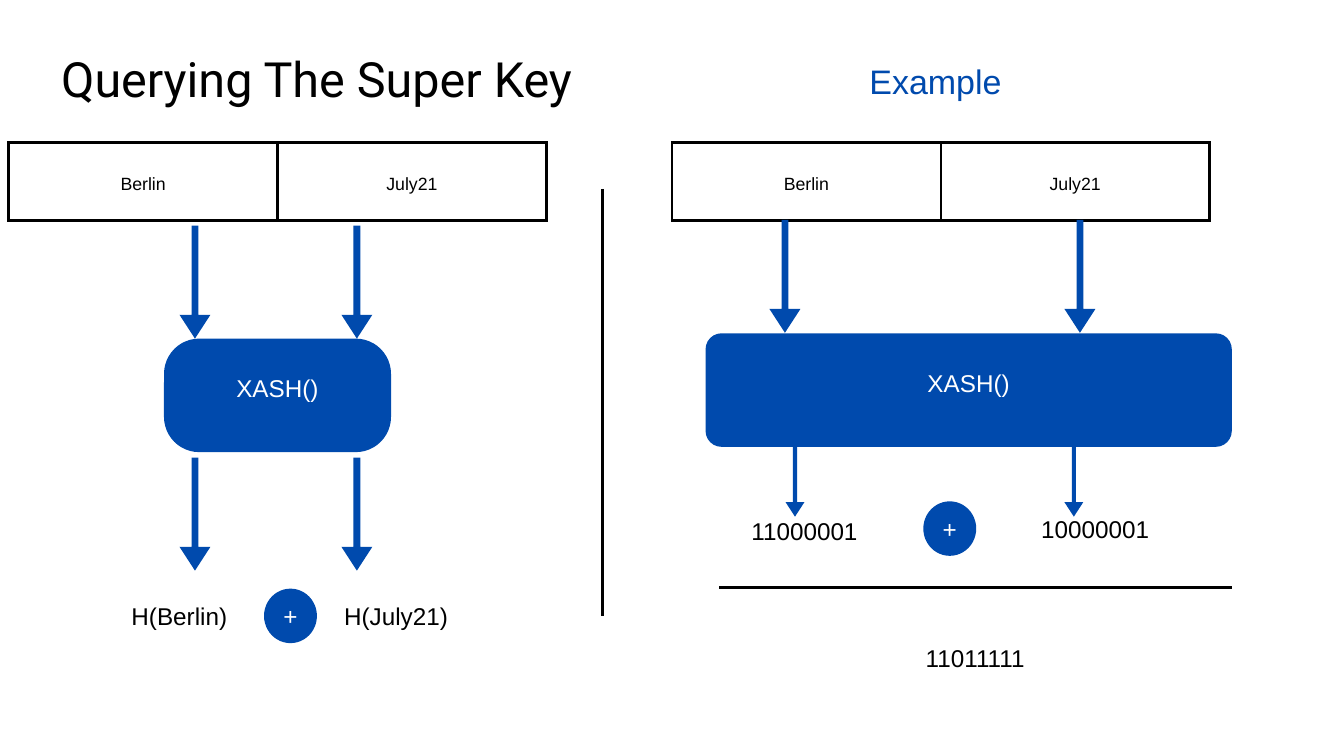
from pptx import Presentation
from pptx.dml.color import RGBColor
from pptx.enum.shapes import MSO_CONNECTOR, MSO_SHAPE
from pptx.enum.text import MSO_ANCHOR, MSO_AUTO_SIZE, PP_ALIGN
from pptx.oxml.xmlchemy import OxmlElement
from pptx.util import Cm, Pt

LINE = MSO_CONNECTOR.STRAIGHT
ARROW, ROUNDED, OVAL = MSO_SHAPE.DOWN_ARROW, MSO_SHAPE.ROUNDED_RECTANGLE, MSO_SHAPE.OVAL
TOP, MIDDLE = MSO_ANCHOR.TOP, MSO_ANCHOR.MIDDLE
CENTER = PP_ALIGN.CENTER
NO_FIT = MSO_AUTO_SIZE.NONE

BLUE, BLACK, WHITE = "004AAD", "000000", "FFFFFF"
VALUES = ["Berlin", "July21"]


def colour(value):
    return RGBColor.from_string(value)


def write(frame, text, size, value, font="Arial", spacing=1.4):
    """Put one centred run into the frame, with exact line spacing."""
    para = frame.paragraphs[0]
    para.alignment = CENTER
    para.line_spacing = Pt(round(size * spacing, 1))
    span = para.add_run()
    span.text = text
    span.font.name = font
    span.font.size = Pt(size)
    span.font.color.rgb = colour(value)


def set_frame(frame, anchor, side=0, top=0, bottom=0):
    frame.word_wrap = True
    frame.auto_size = NO_FIT
    frame.vertical_anchor = anchor
    frame.margin_left = frame.margin_right = Cm(side)
    frame.margin_top, frame.margin_bottom = Cm(top), Cm(bottom)


def add_title(page, text):
    title = page.shapes.title
    title.left, title.top, title.width, title.height = Cm(1.24), Cm(1.5), Cm(21.46), Cm(2.46)
    set_frame(title.text_frame, TOP)
    write(title.text_frame, text, 52, BLACK, "Roboto")


def add_label(page, text, left, top, width, height=1.27, size=26, value=BLACK):
    box = page.shapes.add_textbox(Cm(left), Cm(top), Cm(width), Cm(height))
    set_frame(box.text_frame, TOP)
    write(box.text_frame, text, size, value)


def add_blue_shape(page, kind, left, top, width, height):
    shape = page.shapes.add_shape(kind, Cm(left), Cm(top), Cm(width), Cm(height))
    shape.shadow.inherit = False
    shape.fill.solid()
    shape.fill.fore_color.rgb = colour(BLUE)
    shape.line.fill.background()
    return shape


def add_arrow(page, centre, top, width=1.17, height=4.27):
    arrow = add_blue_shape(page, ARROW, centre - width / 2, top, width, height)
    arrow.adjustments[0] = 0.22
    arrow.adjustments[1] = 0.77


def add_hash_box(page, left, top, width, rounding):
    box = add_blue_shape(page, ROUNDED, left, top, width, 4.29)
    box.adjustments[0] = rounding
    set_frame(box.text_frame, MIDDLE, side=0.15, top=0.15, bottom=0.87)
    write(box.text_frame, "XASH()", 26, WHITE)


def add_plus(page, left, top):
    circle = add_blue_shape(page, OVAL, left, top, 2, 2.06)
    set_frame(circle.text_frame, MIDDLE, bottom=0.18)
    write(circle.text_frame, "+", 26, WHITE)


def add_line(page, x1, y1, x2, y2):
    line = page.shapes.add_connector(LINE, Cm(x1), Cm(y1), Cm(x2), Cm(y2))
    line.line.color.rgb = colour(BLACK)
    line.line.width = Pt(3)
    line._element.spPr.append(OxmlElement("a:effectLst"))


def add_borders(cell):
    properties = cell._tc.get_or_add_tcPr()
    for position, side in enumerate(["a:lnL", "a:lnR", "a:lnT", "a:lnB"]):
        border = OxmlElement(side)
        border.set("w", str(Pt(3)))
        fill = OxmlElement("a:solidFill")
        ink = OxmlElement("a:srgbClr")
        ink.set("val", BLACK)
        fill.append(ink)
        border.append(fill)
        properties.insert(position, border)


def add_value_table(page, left):
    table = page.shapes.add_table(
        1, len(VALUES), Cm(left), Cm(5.38), Cm(20.32), Cm(2.95)).table
    table.first_row = table.horz_banding = False
    for cell, text in zip(table.iter_cells(), VALUES):
        cell.fill.background()
        cell.vertical_anchor = MIDDLE
        cell.margin_left = cell.margin_right = Cm(0.53)
        cell.margin_top = cell.margin_bottom = Cm(0.53)
        write(cell.text_frame, text, 19, BLACK)
        add_borders(cell)


def add_scheme(page):
    add_value_table(page, 0.33)
    for top in (8.53, 17.3):
        for centre in (7.37, 13.49):
            add_arrow(page, centre, top)
    add_hash_box(page, 6.2, 12.8, 8.58, 0.31)
    add_label(page, "H(Berlin)", 4.85, 22.56, 3.86)
    add_plus(page, 9.98, 22.25)
    add_label(page, "H(July21)", 12.9, 22.56, 4.14)


def add_example(page):
    add_label(page, "Example", 25.2, 2.03, 20.32, 1.78, 36.4, BLUE)
    add_value_table(page, 25.4)
    for centre in (29.67, 40.82):
        add_arrow(page, centre, 8.31)
    add_hash_box(page, 26.67, 12.6, 19.89, 0.14)
    for centre in (30.05, 40.59):
        add_arrow(page, centre, 16.89, 0.71, 2.64)
    # Hash values and their combination
    add_label(page, "11000001", 27.03, 19.33, 6.76)
    add_plus(page, 34.9, 18.95)
    add_label(page, "10000001", 38.02, 19.25, 6.76)
    add_line(page, 27.18, 22.2, 46.56, 22.2)
    add_label(page, "11011111", 33.48, 24.13, 6.76)


def main():
    deck = Presentation()
    deck.slide_width, deck.slide_height = Cm(50.8), Cm(28.575)
    page = deck.slides.add_slide(deck.slide_layouts[5])
    add_title(page, "Querying The Super Key")
    # Left half: general scheme
    add_scheme(page)
    # Divider between the halves
    add_line(page, 22.76, 7.14, 22.76, 23.29)
    # Right half: worked example
    add_example(page)
    deck.save("out.pptx")


if __name__ == "__main__":
    main()
